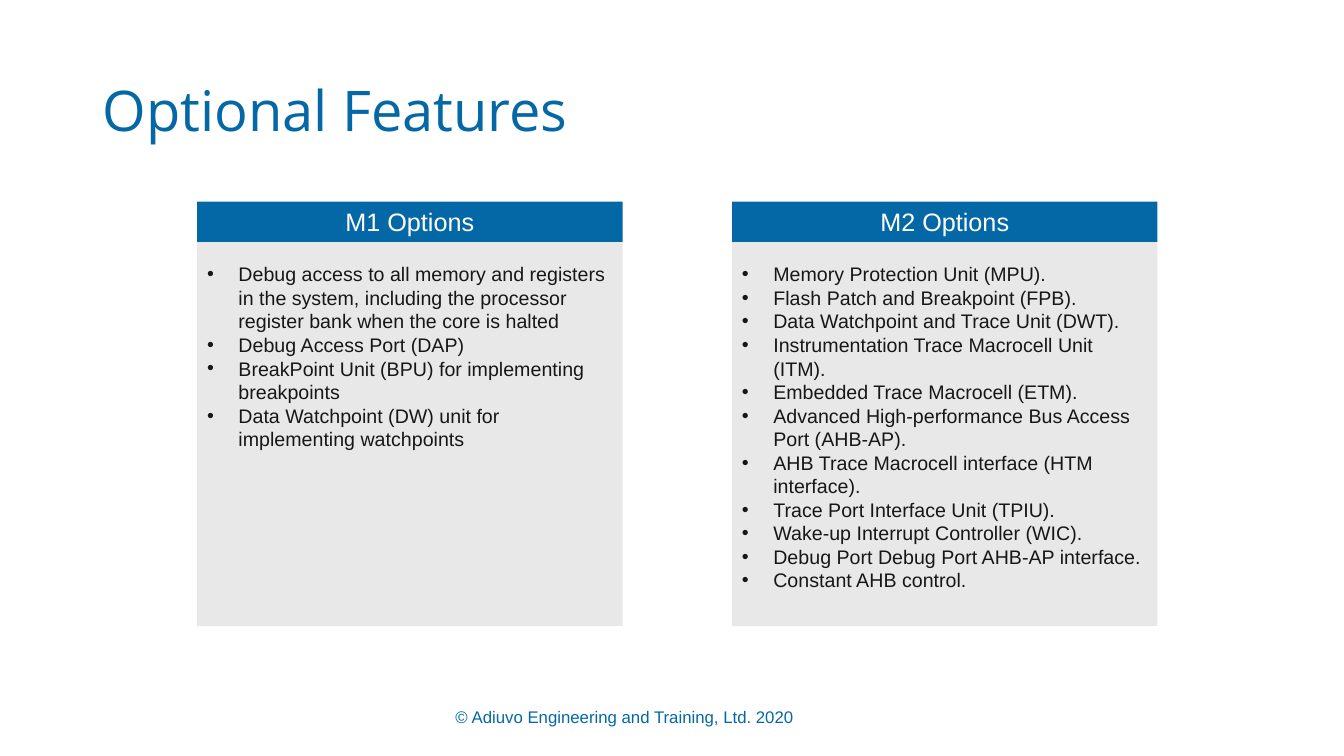
from lxml import etree
from pptx import Presentation
from pptx.dml.color import RGBColor
from pptx.enum.shapes import MSO_SHAPE as Shape
from pptx.enum.text import MSO_ANCHOR as Anchor, PP_ALIGN as Align
from pptx.oxml.ns import qn
from pptx.util import Cm, Pt

COLORS = {"blue": "0568A6", "panel": "E8E8E8", "ink": "171717", "white": "FFFFFF"}

OPTIONS = {
    "M1 Options": [
        "Debug access to all memory and registers in the system, including "
        "the processor register bank when the core is halted",
        "Debug Access Port (DAP)",
        "BreakPoint Unit (BPU) for implementing breakpoints",
        "Data Watchpoint (DW) unit for implementing watchpoints",
    ],
    "M2 Options": [
        "Memory Protection Unit (MPU).",
        "Flash Patch and Breakpoint (FPB).",
        "Data Watchpoint and Trace Unit (DWT).",
        "Instrumentation Trace Macrocell Unit (ITM).",
        "Embedded Trace Macrocell (ETM).",
        "Advanced High-performance Bus Access Port (AHB-AP).",
        "AHB Trace Macrocell interface (HTM interface).",
        "Trace Port Interface Unit (TPIU).",
        "Wake-up Interrupt Controller (WIC).",
        "Debug Port Debug Port AHB-AP interface.",
        "Constant AHB control.",
    ],
}


def add_bullet(paragraph):
    properties = paragraph._p.get_or_add_pPr()
    properties.set("marL", str(Cm(0.79)))
    properties.set("indent", str(-Cm(0.79)))
    etree.SubElement(properties, qn("a:buFont")).set("typeface", "Arial")
    etree.SubElement(properties, qn("a:buChar")).set("char", "•")


def add_text(slide, lines, box, size=14, font="Arial", color="blue", fill=None,
             align=Align.LEFT, anchor=Anchor.MIDDLE, top_inset=0.13,
             spacing=1.0, bullets=False):
    """Place lines of text in a box given in cm, on a filled rectangle if asked."""
    lengths = [Cm(length) for length in box]
    if fill:
        holder = slide.shapes.add_shape(Shape.RECTANGLE, *lengths)
        holder.shadow.inherit = False
        holder.fill.solid()
        holder.fill.fore_color.rgb = RGBColor.from_string(COLORS[fill])
        holder.line.fill.background()
    else:
        holder = slide.shapes.add_textbox(*lengths)
    frame = holder.text_frame
    frame.word_wrap = True
    frame.vertical_anchor = anchor
    frame.margin_top = Cm(top_inset)
    frame.text = "\n".join(lines)
    for paragraph in frame.paragraphs:
        paragraph.alignment = align
        paragraph.line_spacing = spacing
        if bullets:
            add_bullet(paragraph)
        for run in paragraph.runs:
            run.font.name = font
            run.font.size = Pt(size)
            run.font.color.rgb = RGBColor.from_string(COLORS[color])


def add_option_panel(slide, heading, features, box):
    left, top, width, height = box
    header_height = 1.02
    # Heading band
    add_text(slide, [heading], (left, top, width, header_height), size=18,
             color="white", fill="blue", align=Align.CENTER)
    # Feature list
    add_text(slide, features,
             (left, top + header_height, width, height - header_height),
             color="ink", fill="panel", anchor=Anchor.TOP, top_inset=0.51,
             bullets=True)


def add_option_panels(slide, box):
    left, top, width, height = box
    panel_width = 10.72
    pitch = (width - panel_width) / (len(OPTIONS) - 1)
    for column, (heading, features) in enumerate(OPTIONS.items()):
        add_option_panel(slide, heading, features,
                         (left + column * pitch, top, panel_width, height))


def main():
    deck = Presentation()
    deck.slide_width, deck.slide_height = Cm(33.87), Cm(19.05)
    slide = deck.slides.add_slide(deck.slide_layouts[6])

    # Title
    add_text(slide, ["Optional Features"], (2.34, 1.02, 29.21, 3.68),
             size=40, font="Open Sans", spacing=0.9)
    # Copyright line
    add_text(slide, ["© Adiuvo Engineering and Training, Ltd. 2020"],
             (11.23, 17.55, 11.43, 1.02), size=12)
    # Option panels
    add_option_panels(slide, (4.97, 5.08, 24.2, 10.7))

    deck.save("out.pptx")


if __name__ == "__main__":
    main()
